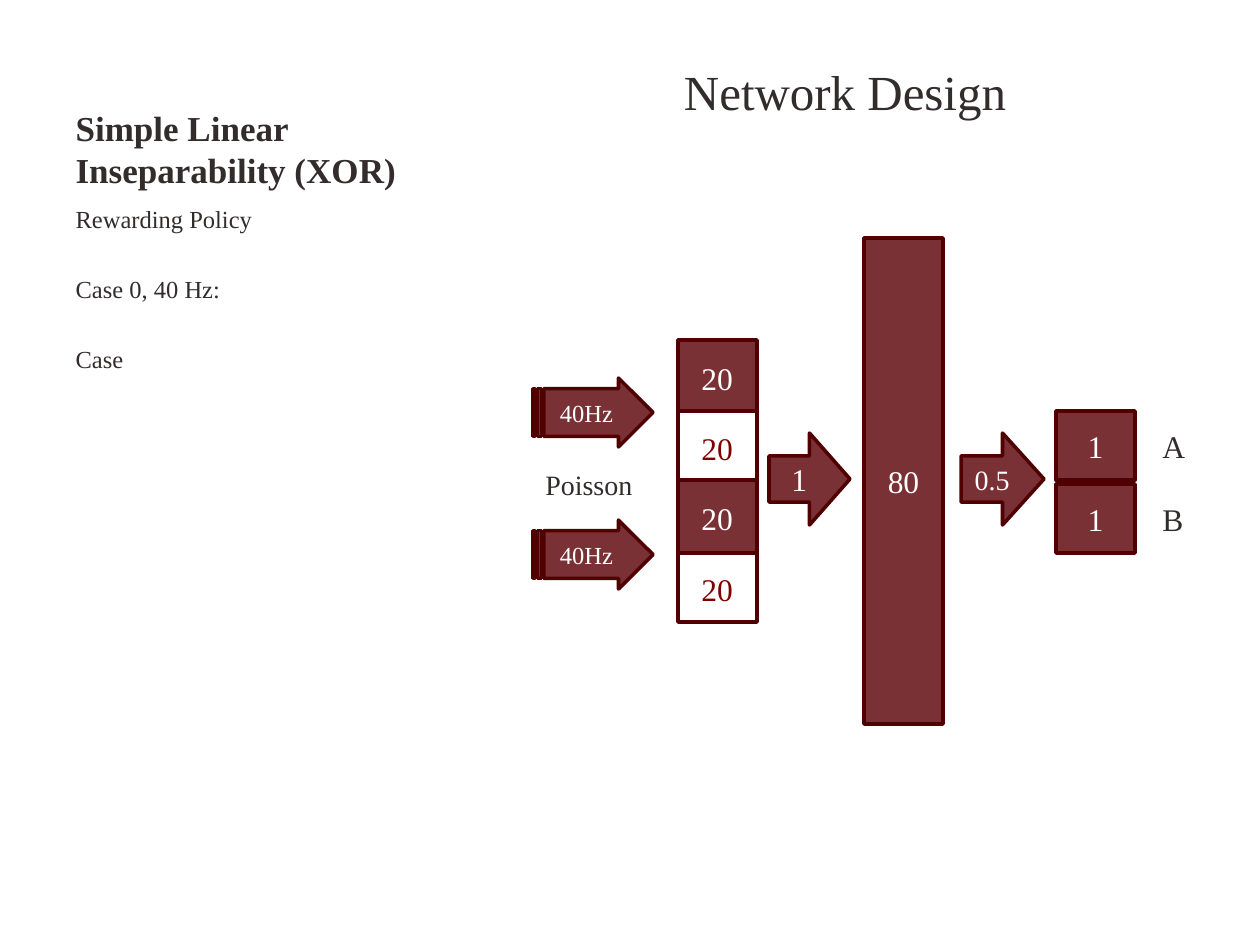
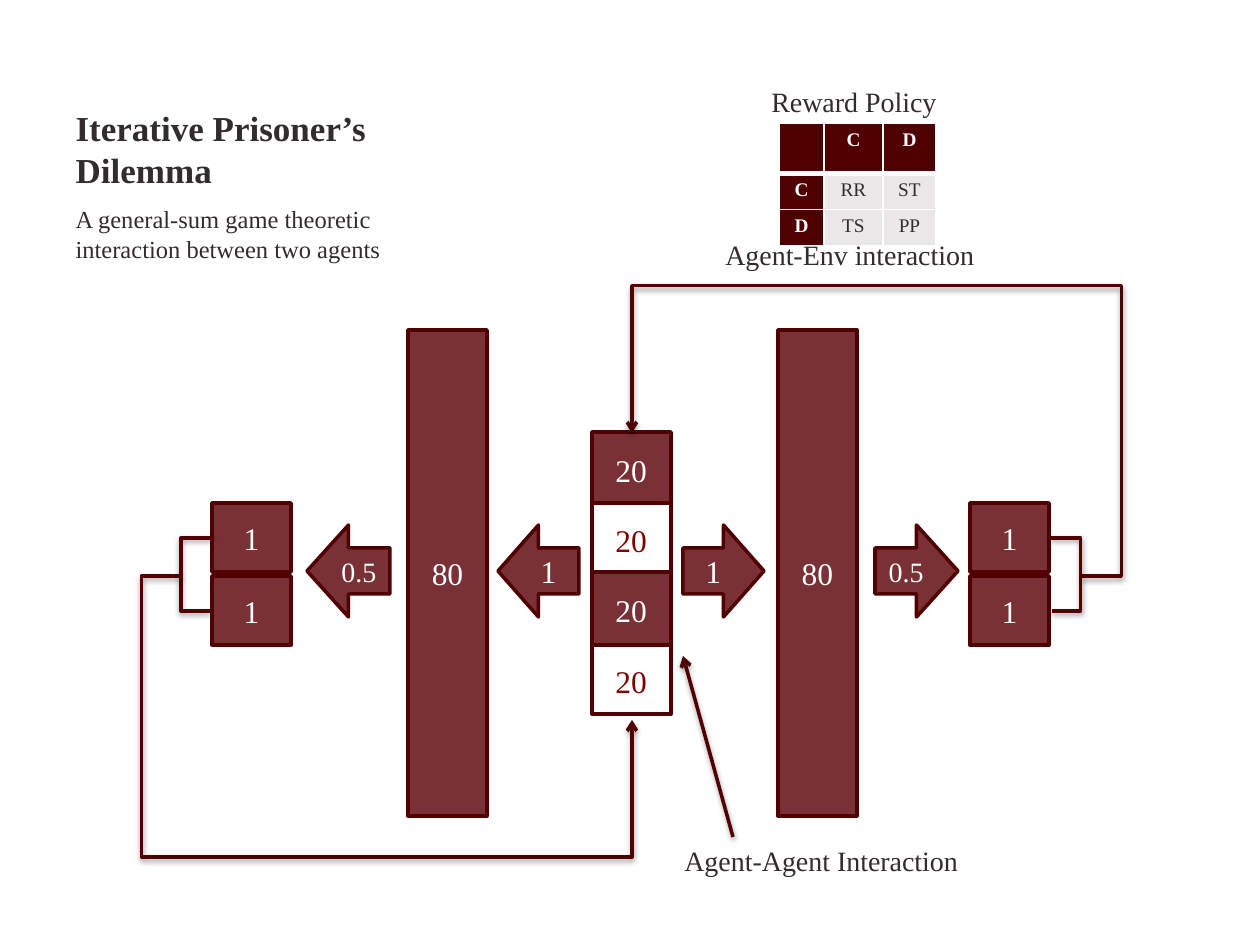
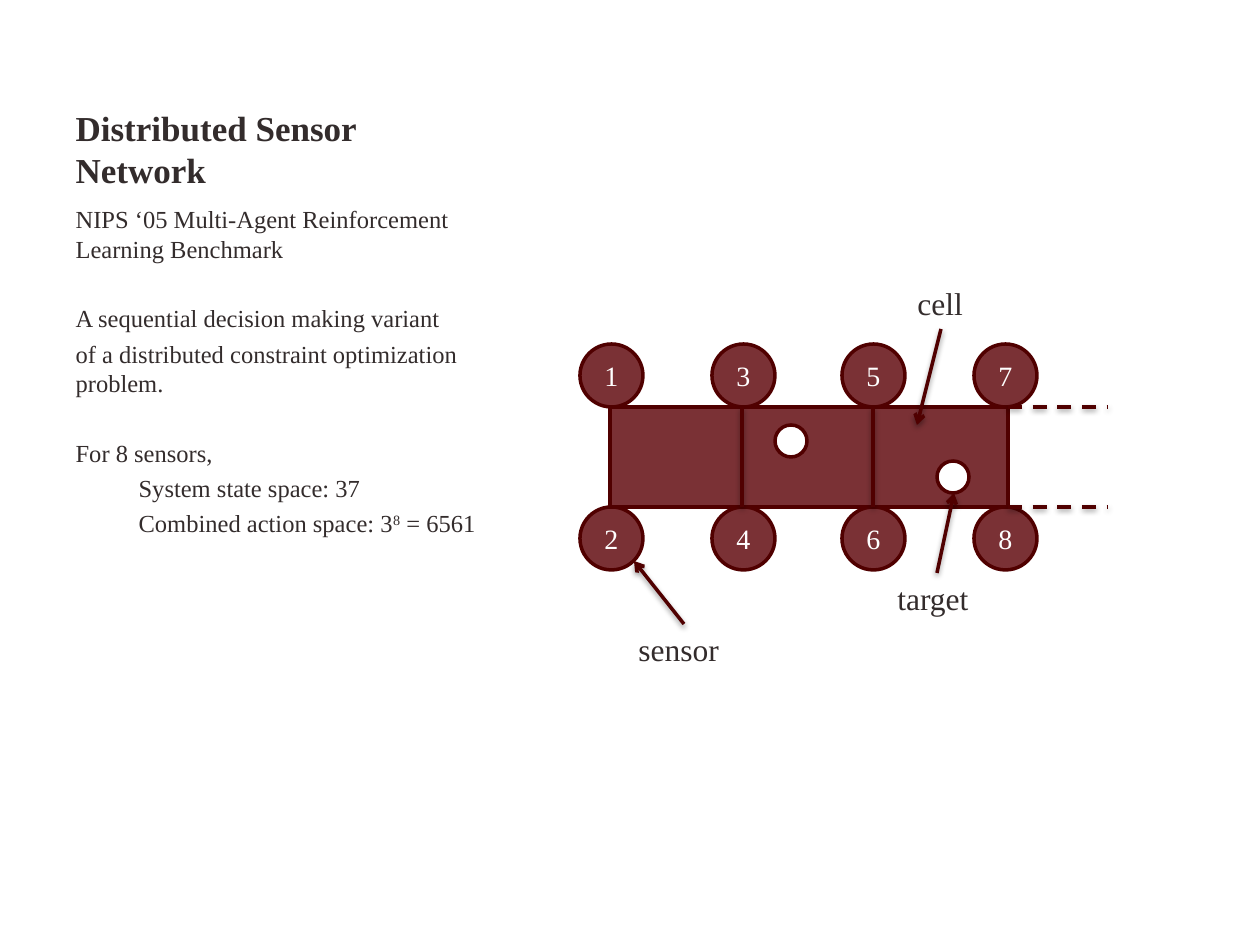
"""Builds three slides on network designs for learning agents."""
import lxml.etree
import pptx
import pptx.dml.color
import pptx.enum.dml
import pptx.enum.shapes
import pptx.enum.text
import pptx.util

PX = 914400 / 126
FONT = "Times New Roman"
INK, WHITE, WINE, EDGE, RED, PALE = "332C2C", "FFFFFF", "7A3135", "500000", "800000", "E9E7E7"
NS = "http://schemas.openxmlformats.org/drawingml/2006/main"
SHADE = (f'<a:effectLst xmlns:a="{NS}"><a:outerShdw blurRad="40000" dist="20000" dir="5400000" '
         'rotWithShape="0"><a:srgbClr val="000000"><a:alpha val="38000"/></a:srgbClr>'
         '</a:outerShdw></a:effectLst>')

hue = pptx.dml.color.RGBColor.from_string
Kind = pptx.enum.shapes.MSO_SHAPE
Link = pptx.enum.shapes.MSO_CONNECTOR
Align = pptx.enum.text.PP_ALIGN
Fit = pptx.enum.text.MSO_AUTO_SIZE
Anchor = pptx.enum.text.MSO_ANCHOR


def write(par, text, size, tone=INK, bold=False):
    """Adds one run of text to a paragraph."""
    run = par.add_run()
    run.text = text
    run.font.name = FONT
    run.font.size = pptx.util.Pt(size)
    run.font.bold = bold
    run.font.color.rgb = hue(tone)
    return run


def draw(slide, kind, box, text="", size=18, tone=WHITE, fill=WINE):
    """Adds a filled shape, or a text box where kind is None."""
    place = [round(n * PX) for n in box]
    if kind is None:
        item = slide.shapes.add_textbox(*place)
        item.text_frame.word_wrap = False
        item.text_frame.auto_size = Fit.SHAPE_TO_FIT_TEXT
    else:
        item = slide.shapes.add_shape(kind, *place)
        item.shadow.inherit = False
        item.fill.solid()
        item.fill.fore_color.rgb = hue(fill)
        item.line.color.rgb = hue(EDGE)
        item.line.width = pptx.util.Pt(2)
        item.text_frame.vertical_anchor = Anchor.MIDDLE
        item.text_frame.paragraphs[0].alignment = Align.CENTER
    if text:
        write(item.text_frame.paragraphs[0], text, size, tone)
    return item


deck = pptx.Presentation()
deck.slide_width = round(1260 * PX)
deck.slide_height = round(945 * PX)

TIGHT, WIDE = 3.3, 23
pages = [
    ("Simple Linear Inseparability (XOR)", "Network Design", 415, [
        (TIGHT, 0, ["Rewarding Policy"]),
        (WIDE, 0, ["Case 0, 40 Hz:"]),
        (WIDE, 0, ["Case"])]),
    ("Iterative Prisoner’s Dilemma", "", 415, [
        (TIGHT, 0, ["A general-sum game theoretic interaction between two agents"])]),
    ("Distributed Sensor Network", "", 460, [
        (TIGHT, 0, ["NIPS ‘05 Multi-Agent Reinforcement Learning Benchmark"]),
        (WIDE, 0, ["A sequential decision making variant"]),
        (TIGHT, 0, ["of a distributed constraint optimization problem."]),
        (WIDE, 0, ["For 8 sensors,"]),
        (TIGHT, 63, ["System state space: 37"]),
        (TIGHT, 63, ["Combined action space: 3", "8", " = 6561"])]),
]

slides = []
for title, head, width, lines in pages:
    slide = deck.slides.add_slide(deck.slide_layouts[7])
    slides.append(slide)
    boxes = [(63, 55, 415, 142), (493, 55, 704, 81), (63, 198, width, 612)]
    for holder, box in zip(list(slide.placeholders), boxes):
        holder.left, holder.top, holder.width, holder.height = [round(n * PX) for n in box]
        holder.text_frame.auto_size = Fit.NONE
    name, main, body = list(slide.placeholders)
    name.text_frame.vertical_anchor = Anchor.BOTTOM
    write(name.text_frame.paragraphs[0], title, 20, bold=True)
    if head:
        par = main.text_frame.paragraphs[0]
        par.alignment = Align.CENTER
        write(par, head, 28)
        props = par._p.get_or_add_pPr()
        props.set("marL", "0")
        props.set("indent", "0")
        lxml.etree.SubElement(props, f"{{{NS}}}buNone")
    else:
        main._element.getparent().remove(main._element)
    for row, (gap, dent, parts) in enumerate(lines):
        par = body.text_frame.add_paragraph() if row else body.text_frame.paragraphs[0]
        par.space_before = pptx.util.Pt(gap)
        par._p.get_or_add_pPr().set("marL", str(round(dent * PX)))
        for part in parts:
            run = write(par, part, 14)
            if part == "8":
                run.font._element.set("baseline", "30000")

xor, game, net = slides

for slide, dx, dy in ((xor, 0, 0), (game, -86, 92)):
    draw(slide, Kind.RECTANGLE, (678 + dx, 340 + dy, 79, 281))
    for top in (411, 553):
        draw(slide, Kind.RECTANGLE, (678 + dx, top + dy, 79, 69), fill=WHITE)
    for top, tone in ((353, WHITE), (423, RED), (493, WHITE), (564, RED)):
        draw(slide, None, (689 + dx, top + dy, 60, 50), "20", tone=tone)

sides = [(xor, 0, False, 864, 769, 961, 1056),
         (game, 92, False, 778, 683, 875, 970),
         (game, 92, True, 408, 498, 307, 212)]
for slide, dy, flip, bar, near, far, out in sides:
    draw(slide, Kind.RECTANGLE, (bar, 238 + dy, 79, 486), "80")
    for left, width, text, size in ((near, 81, "1", 18), (far, 83, "0.5", 16)):
        arrow = draw(slide, Kind.RIGHT_ARROW, (left, 433 + dy, width, 92), text, size)
        if flip:
            arrow._element.spPr.xfrm.set("flipH", "1")
    for top in (411, 484):
        draw(slide, Kind.RECTANGLE, (out, top + dy, 79, 69), "1")

for top in (378, 520):
    pulse = draw(xor, Kind.STRIPED_RIGHT_ARROW, (533, top, 120, 69), "40Hz", 14)
    pulse.adjustments[0] = 0.69

cells = [["", "C", "D"], ["C", "RR", "ST"], ["D", "TS", "PP"]]
grid = game.shapes.add_table(3, 3, *[round(n * PX) for n in (779, 123, 157, 108)]).table
for col, width in zip(grid.columns, (45, 59, 53)):
    col.width = round(width * PX)
for r, texts in enumerate(cells):
    grid.rows[r].height = round(36 * PX)
    for c, text in enumerate(texts):
        cell = grid.cell(r, c)
        lead = r == 0 or c == 0
        for side in "LRTB":
            wide = 3 if (r, side) in ((0, "B"), (1, "T")) else 1
            edge = lxml.etree.SubElement(cell._tc.get_or_add_tcPr(), f"{{{NS}}}ln{side}",
                                         w=str(pptx.util.Pt(wide)))
            paint = lxml.etree.SubElement(edge, f"{{{NS}}}solidFill")
            lxml.etree.SubElement(paint, f"{{{NS}}}srgbClr", val=WHITE)
        cell.fill.solid()
        cell.fill.fore_color.rgb = hue(EDGE if lead else PALE)
        par = cell.text_frame.paragraphs[0]
        par.alignment = Align.CENTER
        if text:
            write(par, text, 11, WHITE if lead else INK, lead)

for col, left in enumerate((580, 712, 842, 974)):
    for row, top in enumerate((344, 507)):
        draw(net, Kind.OVAL, (left, top, 63, 63), str(2 * col + row + 1), 16)
draw(net, Kind.RECTANGLE, (610, 407, 398, 100))
for left, top in ((775, 425), (937, 461)):
    draw(net, Kind.OVAL, (left, top, 32, 32), fill=WHITE)

labels = [
    (xor, (533, 461, 120, 47), "Poisson", 16),
    (xor, (1150, 421, 47, 50), "A", 18),
    (xor, (1150, 494, 47, 50), "B", 18),
    (game, (759, 78, 199, 47), "Reward Policy", 16),
    (game, (672, 837, 318, 47), "Agent-Agent Interaction", 16),
    (game, (713, 231, 291, 47), "Agent-Env interaction", 16),
    (net, (626, 624, 116, 50), "sensor", 18),
    (net, (885, 573, 107, 50), "target", 18),
    (net, (905, 278, 73, 50), "cell", 18),
]
for slide, box, text, size in labels:
    draw(slide, None, box, text, size, INK)

links = [
    (game, (1050, 538, 1052, 611), "", [15.5]),
    (game, (212, 538, 210, 611), "", [15.5]),
    (game, (1081, 576, 632, 433), "arrow", [-0.09, 2.03]),
    (game, (182, 576, 632, 720), "arrow", [-0.09, 1.95]),
    (game, (733, 837, 683, 656), "arrow", []),
    (net, (742, 407, 742, 507), "", []),
    (net, (873, 407, 873, 507), "", []),
    (net, (1008, 407, 1108, 407), "dash", []),
    (net, (1008, 507, 1108, 507), "dash", []),
    (net, (684, 624, 634, 561), "arrow", []),
    (net, (937, 573, 954, 493), "arrow", []),
    (net, (941, 329, 917, 425), "arrow", []),
]
for slide, ends, style, bends in links:
    link = slide.shapes.add_connector(Link.ELBOW if bends else Link.STRAIGHT,
                                      *[round(n * PX) for n in ends])
    link.line.color.rgb = hue(EDGE)
    link.line.width = pptx.util.Pt(2)
    if style == "dash":
        link.line.dash_style = pptx.enum.dml.MSO_LINE.DASH
    if style == "arrow":
        lxml.etree.SubElement(link.line._get_or_add_ln(), f"{{{NS}}}tailEnd", type="arrow")
    props = link._element.spPr
    props.append(lxml.etree.fromstring(SHADE))
    if bends:
        shape = props.find(f"{{{NS}}}prstGeom")
        shape.set("prst", f"bentConnector{len(bends) + 2}")
        for i, bend in enumerate(bends, 1):
            lxml.etree.SubElement(shape.find(f"{{{NS}}}avLst"), f"{{{NS}}}gd",
                                  name=f"adj{i}" if len(bends) > 1 else "adj1",
                                  fmla=f"val {round(bend * 100000)}")

deck.save("out.pptx")
